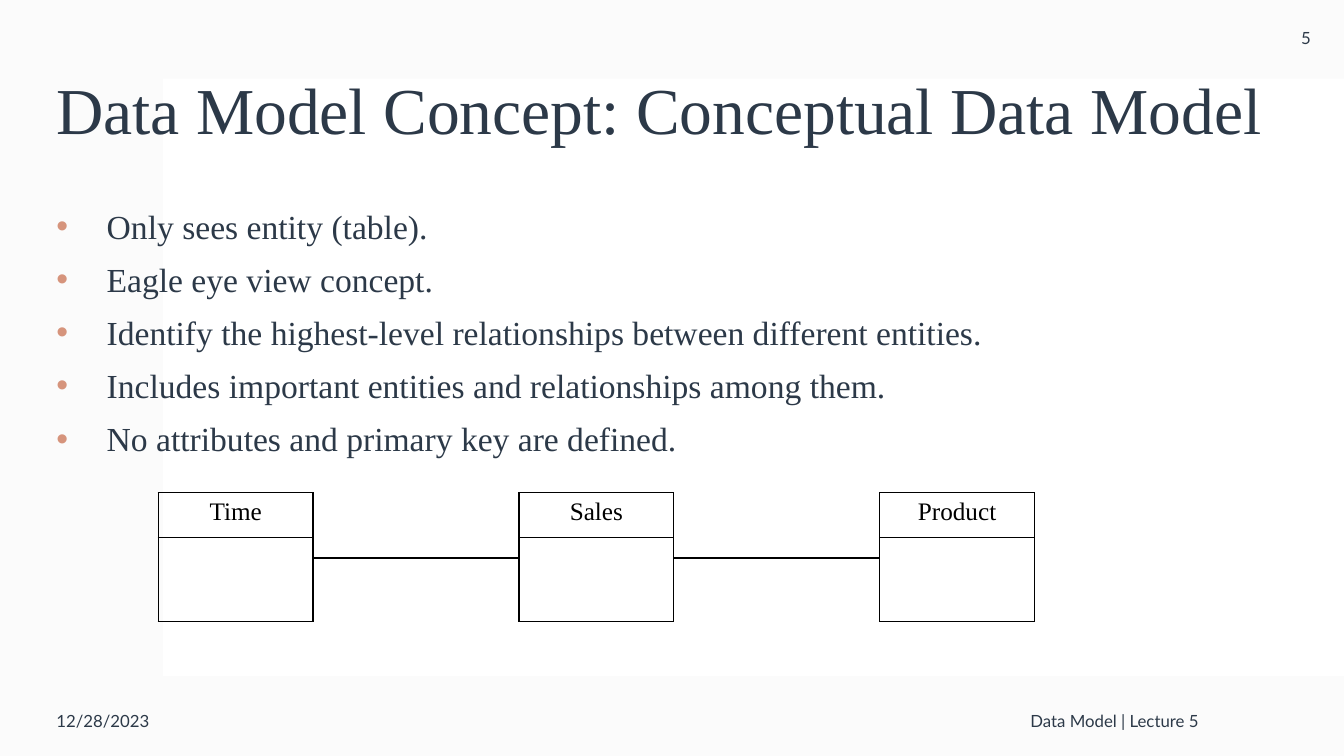
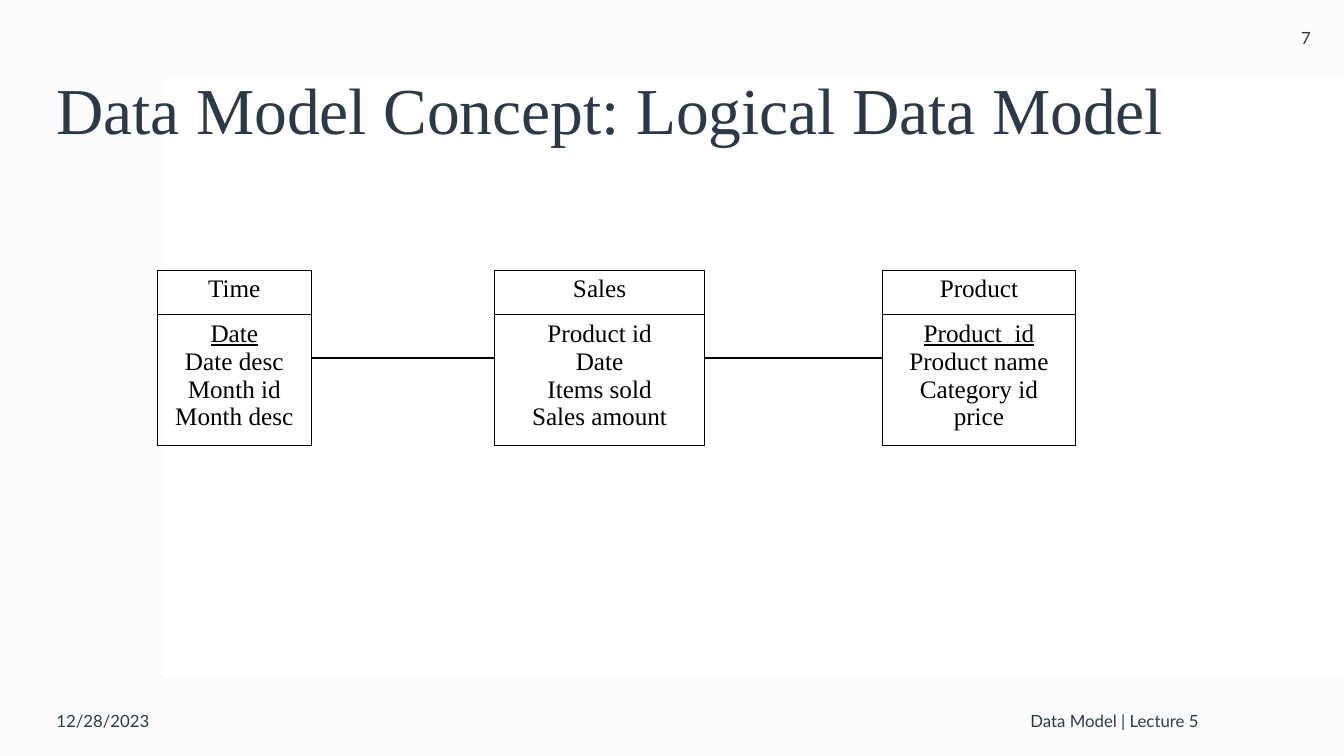
from lxml import etree
from pptx import Presentation
from pptx import util as u
from pptx.dml.color import RGBColor
from pptx.enum import shapes, text
from pptx.oxml import ns

SLATE = RGBColor(0x2C, 0x39, 0x48)
COPPER = RGBColor(0xD6, 0x94, 0x7C)
MIST = RGBColor(0xF4, 0xF4, 0xF4)
WHITE = RGBColor(0xFF, 0xFF, 0xFF)
BLACK = RGBColor(0, 0, 0)
SERIF = "Times New Roman"
SANS = "Lato"
LEFT, CENTER, RIGHT = text.PP_ALIGN.LEFT, text.PP_ALIGN.CENTER, text.PP_ALIGN.RIGHT
MIDDLE, TOP = text.MSO_ANCHOR.MIDDLE, text.MSO_ANCHOR.TOP

SLIDE_W, SLIDE_H = 33.87, 19.05
MARGIN = 1.17
HEADER_H = 1.12
INDENT = 1.27


def add_xml(parent, tag, **attributes):
    return etree.SubElement(parent, ns.qn(tag), attributes)


def add_bullet(paragraph, colour):
    properties = paragraph._p.get_or_add_pPr()
    properties.set("marL", str(u.Cm(INDENT)))
    properties.set("indent", str(-u.Cm(INDENT)))
    add_xml(add_xml(properties, "a:buClr"), "a:srgbClr", val=str(colour))
    add_xml(properties, "a:buFont", typeface="Arial")
    add_xml(properties, "a:buChar", char="•")


def write_text(frame, lines, *, font=SERIF, size=18, colour=BLACK, align=LEFT,
               line_spacing=None, gap=0, bullet=None, underlined=()):
    """Write one paragraph per line; gap is the space between paragraphs."""
    for index, line in enumerate(lines):
        paragraph = frame.add_paragraph() if index else frame.paragraphs[0]
        if bullet is not None:
            add_bullet(paragraph, bullet)
        paragraph.alignment = align
        if line_spacing is not None:
            paragraph.line_spacing = line_spacing
        if index and gap:
            paragraph.space_before = u.Pt(gap)
        run = paragraph.add_run()
        run.text = line
        run.font.name = font
        run.font.size = u.Pt(size)
        run.font.bold = False
        run.font.underline = line in underlined
        run.font.color.rgb = colour


def add_text(slide, left, top, width, height, lines, anchor=MIDDLE, **style):
    box = slide.shapes.add_textbox(u.Cm(left), u.Cm(top), u.Cm(width), u.Cm(height))
    box.text_frame.word_wrap = True
    box.text_frame.vertical_anchor = anchor
    write_text(box.text_frame, lines, **style)


def add_panel(slide, left, top, width, height, colour, opacity=None):
    panel = slide.shapes.add_shape(shapes.MSO_SHAPE.RECTANGLE, u.Cm(left), u.Cm(top),
                                   u.Cm(width), u.Cm(height))
    panel.shadow.inherit = False
    panel.fill.solid()
    panel.fill.fore_color.rgb = colour
    panel.line.fill.background()
    if opacity is not None:
        tone = panel._element.spPr.find(".//" + ns.qn("a:srgbClr"))
        add_xml(tone, "a:alpha", val=str(opacity * 1000))


def outline_cell(cell):
    properties = cell._tc.get_or_add_tcPr()
    for side in ("a:lnL", "a:lnR", "a:lnT", "a:lnB"):
        border = add_xml(properties, side, w=str(u.Pt(1)))
        add_xml(add_xml(border, "a:solidFill"), "a:srgbClr", val=str(BLACK))
    cell.fill.background()


def add_entity(slide, left, top, width, body_h, name, attributes=(), keys=()):
    frame = slide.shapes.add_table(2, 1, u.Cm(left), u.Cm(top), u.Cm(width),
                                   u.Cm(HEADER_H + body_h))
    entity = frame.table
    entity.first_row = entity.horz_banding = False
    for row, height in zip(entity.rows, (HEADER_H, body_h)):
        row.height = u.Cm(height)
    for row, lines in enumerate(([name], attributes)):
        cell = entity.cell(row, 0)
        outline_cell(cell)
        write_text(cell.text_frame, lines, align=CENTER, underlined=keys)


def add_relation(slide, start, end, y):
    relation = slide.shapes.add_connector(shapes.MSO_CONNECTOR.STRAIGHT,
                                          u.Cm(start), u.Cm(y), u.Cm(end), u.Cm(y))
    relation.line.color.rgb = BLACK
    relation.line.width = u.Pt(1.5)
    add_xml(relation._element.spPr, "a:effectLst")


def add_diagram(slide, top, body_h, relation_y, entities):
    """Draw entities given as (left, width, name, ...) and join neighbours."""
    for left, width, *content in entities:
        add_entity(slide, left, top, width, body_h, *content)
    for (left, width, *_), (next_left, *_) in zip(entities, entities[1:]):
        add_relation(slide, left + width, next_left, relation_y)


def add_base_slide(deck, title, number):
    """Backdrop, title, footer and page number shared by every slide."""
    slide = deck.slides.add_slide(deck.slide_layouts[6])
    add_panel(slide, 0, 0, SLIDE_W, SLIDE_H, MIST, opacity=35)
    add_panel(slide, 4.11, 1.98, SLIDE_W - 4.11, 15.06, WHITE)
    add_text(slide, MARGIN, 1.02, 31.62, 3.68, [title], size=46.8, colour=SLATE,
             line_spacing=0.9)
    small = {"font": SANS, "size": 12, "colour": SLATE}
    add_text(slide, MARGIN, 17.27, 7.62, 1.78, ["12/28/2023"], **small)
    add_text(slide, 10.46, 17.27, 20, 1.78, ["Data Model | Lecture 5"],
             align=RIGHT, **small)
    add_text(slide, 31.96, 0, 1.91, 1.91, [str(number)], align=CENTER, **small)
    return slide


def add_conceptual_slide(deck):
    slide = add_base_slide(deck, "Data Model Concept: Conceptual Data Model", 5)
    points = [
        "Only sees entity (table).",
        "Eagle eye view concept.",
        "Identify the highest-level relationships between different entities.",
        "Includes important entities and relationships among them.",
        "No attributes and primary key are defined.",
    ]
    add_text(slide, MARGIN, 5.08, 29.29, 7, points, anchor=TOP, size=24, colour=SLATE,
             line_spacing=u.Pt(28), gap=10, bullet=COPPER)
    # Three equal entities at an even pitch
    entities = [(3.99 + 9.09 * index, 3.9, name)
                for index, name in enumerate(("Time", "Sales", "Product"))]
    add_diagram(slide, 12.42, 2.13, 14.05, entities)


def add_logical_slide(deck):
    slide = add_base_slide(deck, "Data Model Concept: Logical Data Model", 7)
    entities = [
        (3.96, 3.89, "Time", ["Date", "Date desc", "Month id", "Month desc"], ["Date"]),
        (12.47, 5.28, "Sales", ["Product id", "Date", "Items sold", "Sales amount"]),
        (22.23, 4.88, "Product",
         ["Product_id", "Product name", "Category id", "price"], ["Product_id"]),
    ]
    add_diagram(slide, 6.81, 3.05, 9.02, entities)


def main():
    deck = Presentation()
    deck.slide_width, deck.slide_height = u.Cm(SLIDE_W), u.Cm(SLIDE_H)
    add_conceptual_slide(deck)
    add_logical_slide(deck)
    deck.save("out.pptx")


if __name__ == "__main__":
    main()
